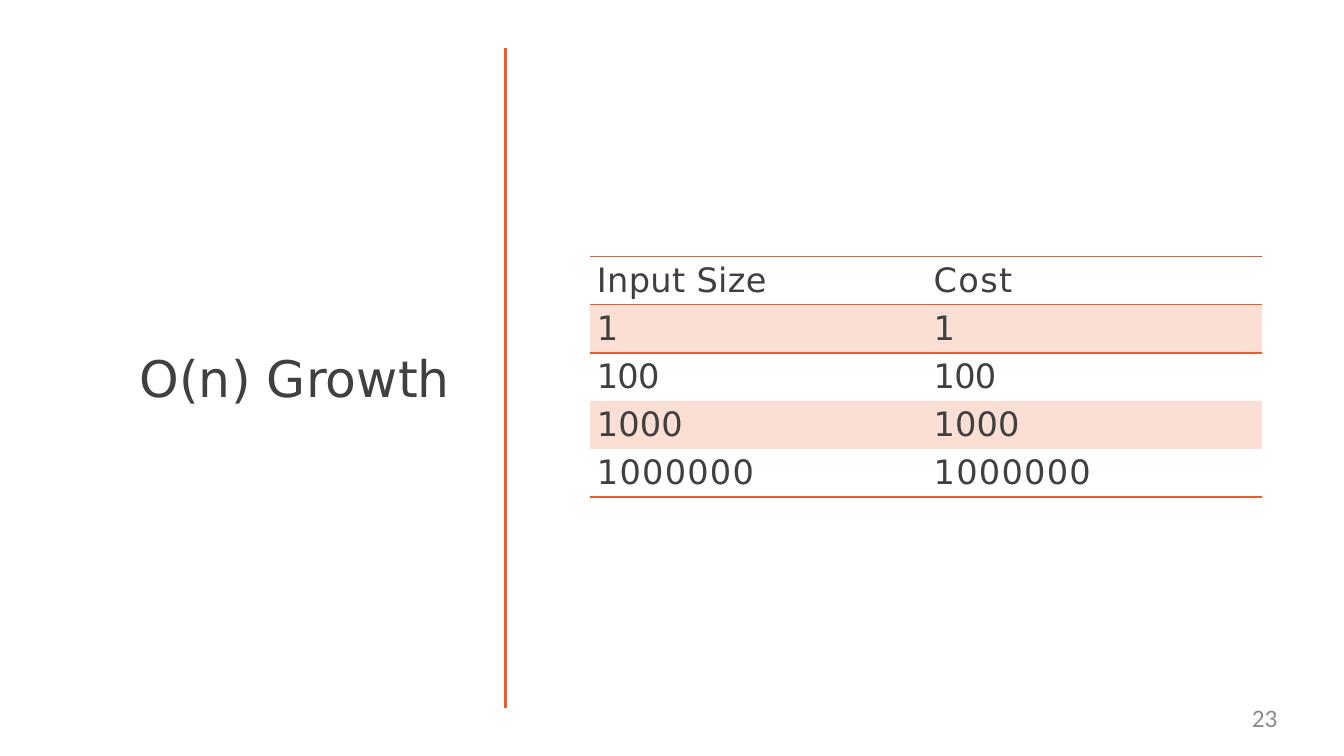
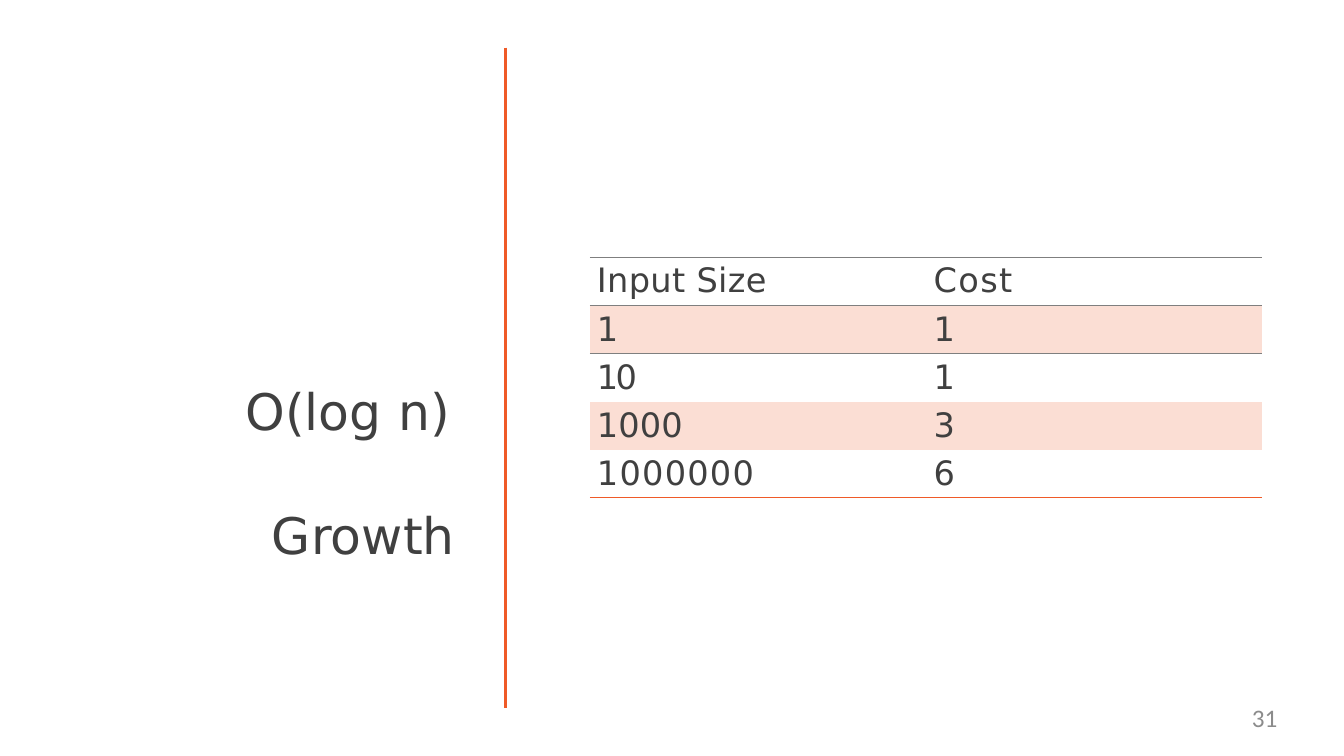
from dataclasses import dataclass

import lxml.etree
import pptx
import pptx.dml.color
import pptx.enum.shapes
import pptx.enum.text
import pptx.oxml
import pptx.oxml.ns
import pptx.presentation
import pptx.shapes.autoshape
import pptx.slide
import pptx.table
import pptx.text.text
import pptx.util

Pt = pptx.util.Pt
Align = pptx.enum.text.PP_ALIGN
qn = pptx.oxml.ns.qn

COLORS = {
    "accent": "EF5A28",
    "band": "FBDED4",
    "rule": "7F7F7F",
    "text": "404040",
    "page": "8C8C8C",
}
SANS = "DejaVu Sans"
TRACK = {"Input Size": 0.25, "Cost": 0.9, "10": -1.9, "100": -0.6, "1000": 0.1, "1000000": 0.9}
HEAD = ("Input Size", "Cost")
COLS = (188.6, 291.6)
PADS = (5, 57)
ROW = 34.3


@dataclass(frozen=True)
class Title:
    text: str
    left: float
    top: float
    width: float
    height: float
    margin: float = 1
    indent: float = 0
    lead: float = 1


@dataclass(frozen=True)
class Growth:
    title: Title
    page: str
    top: float
    rule: str
    rows: tuple[tuple[str, str], ...]


PAGES = (
    Growth(
        Title("O(n) Growth", 98.6, 247, 230, 45),
        "23", 183.5, "accent",
        (("1", "1"), ("100", "100"), ("1000", "1000"), ("1000000", "1000000")),
    ),
    Growth(
        Title("O(log n) Growth", 174.2, 225.5, 153, 89, margin=20, indent=-19, lead=2.05),
        "31", 184, "rule",
        (("1", "1"), ("10", "1"), ("1000", "3"), ("1000000", "6")),
    ),
)


def color(name: str) -> pptx.dml.color.RGBColor:
    return pptx.dml.color.RGBColor.from_string(COLORS[name])


def write(
    frame: pptx.text.text.TextFrame,
    text: str,
    *,
    size: float,
    font: str = SANS,
    tint: str = "text",
    align: Align = Align.LEFT,
    track: float = 0,
    margin: float = 0,
    indent: float = 0,
    lead: float = 1,
) -> None:
    para = frame.paragraphs[0]
    props = para._p.get_or_add_pPr()
    props.set("marL", str(Pt(margin)))
    props.set("indent", str(Pt(indent)))
    para.alignment = align
    para.line_spacing = lead
    para.space_before = Pt(0)
    run = para.add_run()
    run.text = text
    run.font.name = font
    run.font.size = Pt(size)
    run.font.bold = False
    run.font.color.rgb = color(tint)
    if track:
        run._r.get_or_add_rPr().set("spc", str(round(track * 100)))


def fit(shape: pptx.shapes.autoshape.Shape) -> pptx.text.text.TextFrame:
    frame = shape.text_frame
    frame.word_wrap = True
    frame.auto_size = pptx.enum.text.MSO_AUTO_SIZE.NONE
    frame.vertical_anchor = pptx.enum.text.MSO_ANCHOR.TOP
    frame.margin_left = frame.margin_right = frame.margin_bottom = Pt(0)
    frame.margin_top = Pt(1)
    return frame


def head(slide: pptx.slide.Slide, title: Title) -> None:
    shape = slide.shapes.title
    shape.left, shape.top = Pt(title.left), Pt(title.top)
    shape.width, shape.height = Pt(title.width), Pt(title.height)
    write(
        fit(shape), title.text, size=36, track=0.1,
        margin=title.margin, indent=title.indent, lead=title.lead,
    )


def divide(slide: pptx.slide.Slide) -> None:
    line = slide.shapes.add_connector(
        pptx.enum.shapes.MSO_CONNECTOR.STRAIGHT, Pt(361), Pt(34), Pt(361), Pt(505.5)
    )
    line.line.color.rgb = color("accent")
    line.line.width = Pt(2.04)
    lxml.etree.SubElement(line._element.spPr, qn("a:effectLst"))


def number(slide: pptx.slide.Slide, page: str) -> None:
    box = slide.shapes.add_textbox(Pt(691), Pt(501), Pt(221.4), Pt(27))
    write(fit(box), page, size=18, font="Calibri", tint="page", align=Align.RIGHT)


def edge(cell: pptx.table._Cell, side: str, tint: str | None) -> None:
    props = cell._tc.get_or_add_tcPr()
    line = lxml.etree.SubElement(props, qn(f"a:ln{side}"), w=str(Pt(1)))
    if tint is None:
        lxml.etree.SubElement(line, qn("a:noFill"))
    else:
        fill = lxml.etree.SubElement(line, qn("a:solidFill"))
        lxml.etree.SubElement(fill, qn("a:srgbClr"), val=COLORS[tint])


def costs(slide: pptx.slide.Slide, page: Growth) -> None:
    data = (HEAD, *page.rows)
    last = len(data)
    rules = {0: page.rule, 1: page.rule, 2: page.rule, last: "accent"}
    table = slide.shapes.add_table(
        last, len(COLS), Pt(421.4), Pt(page.top), Pt(sum(COLS)), Pt(ROW * last)
    ).table
    table.first_row = table.horz_banding = False
    for col, width in zip(table.columns, COLS):
        col.width = Pt(width)
    for r, row in enumerate(data):
        table.rows[r].height = Pt(ROW)
        for c, text in enumerate(row):
            cell = table.cell(r, c)
            cell.margin_left, cell.margin_top = Pt(PADS[c]), Pt(3)
            cell.margin_right = cell.margin_bottom = Pt(0)
            sides = {"L": None, "R": None, "T": rules.get(r), "B": rules.get(r + 1)}
            for side, tint in sides.items():
                edge(cell, side, tint)
            if r % 2:
                cell.fill.solid()
                cell.fill.fore_color.rgb = color("band")
            else:
                cell.fill.background()
            write(cell.text_frame, text, size=24, track=TRACK.get(text, 0))


def build(deck: pptx.presentation.Presentation, page: Growth) -> None:
    slide = deck.slides.add_slide(deck.slide_layouts.get_by_name("Title Only"))
    divide(slide)
    head(slide, page.title)
    costs(slide, page)
    number(slide, page.page)


def main() -> None:
    deck = pptx.Presentation()
    deck.slide_width, deck.slide_height = Pt(960), Pt(540)
    for page in PAGES:
        build(deck, page)
    deck.save("out.pptx")


if __name__ == "__main__":
    main()
